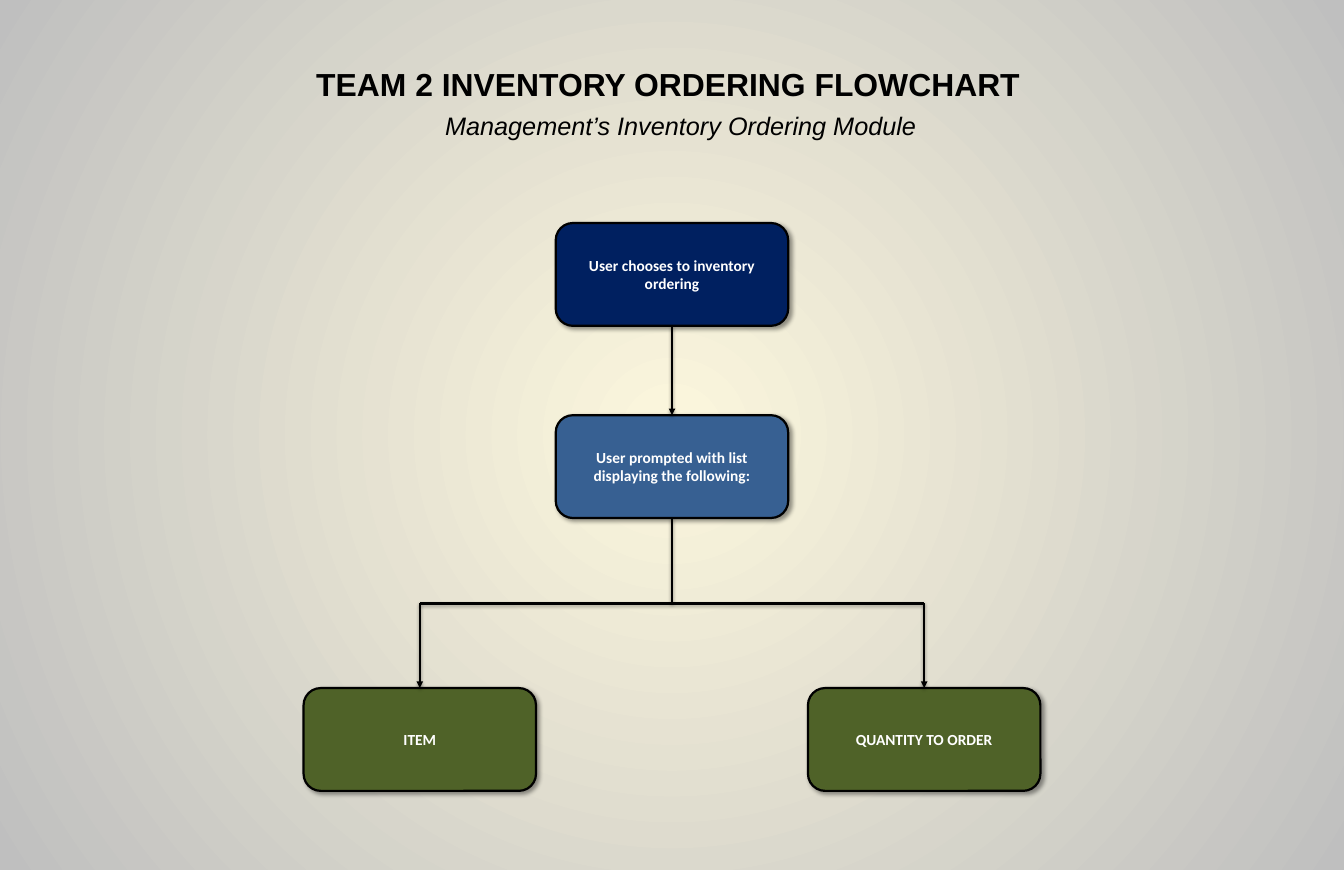
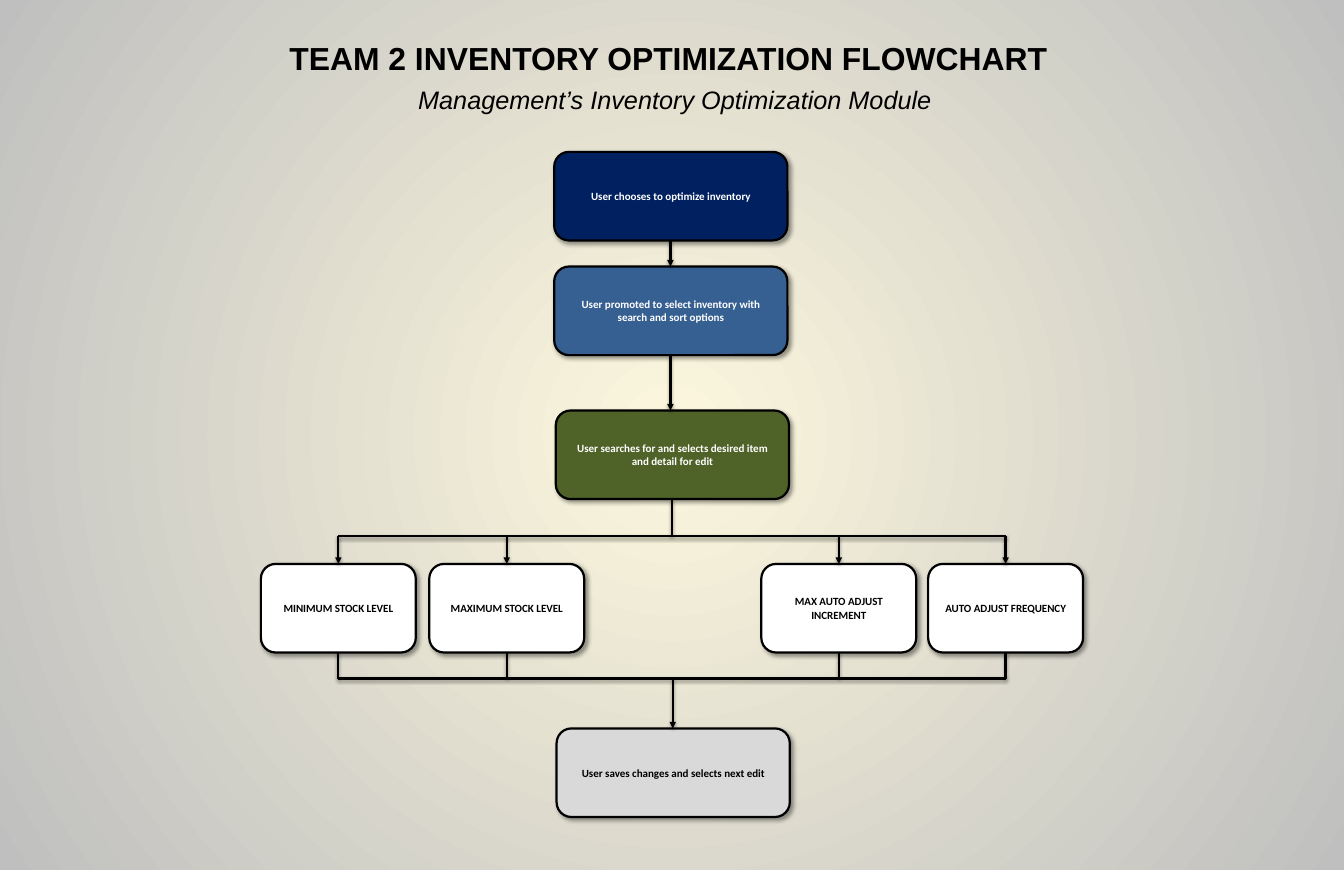
"""Build the two inventory flowchart slides."""
from pptx import Presentation
from pptx.dml.color import RGBColor
from pptx.enum.shapes import MSO_CONNECTOR, MSO_SHAPE
from pptx.enum.text import MSO_ANCHOR, MSO_AUTO_SIZE, PP_ALIGN
from pptx.oxml import parse_xml
from pptx.oxml.ns import nsdecls, qn
from pptx.util import Pt

EMU_PER_PX = 9144
PAGE_WIDTH, PAGE_HEIGHT = 1700, 1100
STRAIGHT = MSO_CONNECTOR.STRAIGHT
ROUNDED = MSO_SHAPE.ROUNDED_RECTANGLE
MIDDLE = MSO_ANCHOR.MIDDLE
GROW = MSO_AUTO_SIZE.SHAPE_TO_FIT_TEXT
CENTER = PP_ALIGN.CENTER

BLACK = RGBColor(0x00, 0x00, 0x00)
WHITE = RGBColor(0xFF, 0xFF, 0xFF)
NAVY = RGBColor(0x00, 0x20, 0x60)
BLUE = RGBColor(0x37, 0x60, 0x92)
GREEN = RGBColor(0x4F, 0x62, 0x28)
GRAY = RGBColor(0xD9, 0xD9, 0xD9)
CREAM = RGBColor(0xFC, 0xF7, 0xDD)
SILVER = RGBColor(0xBF, 0xBF, 0xBF)

TITLE_FONT = {"name": "Arial", "size": Pt(29), "bold": True}
SUBTITLE_FONT = {"name": "Arial", "size": Pt(23), "italic": True}
BOX_FONT = {"name": "Calibri", "bold": True}
BOX_SHADOW = {"opacity": 40, "blur": 4, "distance": 3, "angle": 45}
LINE_SHADOW = {"opacity": 38, "blur": 3.1, "distance": 1.6, "angle": 90}


def px(length):
    """Turn px into EMU."""
    return length * EMU_PER_PX


def apply(target, values):
    """Set each attribute named in values on target."""
    for name, value in values.items():
        setattr(target, name, value)


def set_margins(frame, side, end):
    """Set the side margins and the top and bottom margins of a text frame."""
    apply(frame, {"margin_left": px(side), "margin_right": px(side),
                  "margin_top": px(end), "margin_bottom": px(end)})


def write(frame, text, font, color):
    """Write one formatted run and return its paragraph."""
    para = frame.paragraphs[0]
    span = para.add_run()
    span.text = text
    apply(span.font, font)
    span.font.color.rgb = color
    return para


def add_shadow(shape, opacity, blur, distance, angle):
    """Give a shape or connector a black outer shadow."""
    shape.element.spPr.append(parse_xml(
        f'<a:effectLst {nsdecls("a")}><a:outerShdw blurRad="{Pt(blur)}" '
        f'dist="{Pt(distance)}" dir="{angle * 60000}" algn="tl" '
        f'rotWithShape="0"><a:srgbClr val="{BLACK}"><a:alpha '
        f'val="{opacity * 1000}"/></a:srgbClr></a:outerShdw></a:effectLst>'))


def set_outline(shape):
    """Draw the black outline that boxes and lines share."""
    shape.line.color.rgb = BLACK
    shape.line.width = Pt(2)


def set_background(master):
    """Paint a radial gradient behind every page."""
    fill = master.background.fill
    fill.gradient()
    for stop, color in zip(fill.gradient_stops, (CREAM, SILVER)):
        stop.color.rgb = color
    gradient = next(master.element.iter(qn("a:gradFill")))
    gradient.remove(gradient.find(qn("a:lin")))
    gradient.append(parse_xml(
        f'<a:path {nsdecls("a")} path="circle"><a:fillToRect l="50000" '
        't="50000" r="50000" b="50000"/></a:path>'))


def add_label(page, left, top, width, height, text, font):
    """Add an unwrapped line of text."""
    label = page.shapes.add_textbox(px(left), px(top), px(width), px(height))
    frame = label.text_frame
    apply(frame, {"word_wrap": False, "auto_size": GROW})
    set_margins(frame, 11, 6)
    write(frame, text, font, BLACK)


def add_heading(page, left, top, title, title_width, subtitle, subtitle_width):
    """Add the title with its subtitle below."""
    add_label(page, left, top, title_width, 60, title, TITLE_FONT)
    add_label(page, left + 163, top + 57, subtitle_width, 50, subtitle,
              SUBTITLE_FONT)


def add_box(page, left, top, width, height, text, size, fill, color=WHITE):
    """Add a rounded flowchart step."""
    box = page.shapes.add_shape(ROUNDED, px(left), px(top), px(width),
                                px(height))
    box.fill.solid()
    box.fill.fore_color.rgb = fill
    set_outline(box)
    add_shadow(box, **BOX_SHADOW)
    frame = box.text_frame
    apply(frame, {"word_wrap": True, "vertical_anchor": MIDDLE})
    set_margins(frame, 16, 8)
    font = {**BOX_FONT, "size": Pt(size)}
    write(frame, text, font, color).alignment = CENTER


def add_line(page, x1, y1, x2, y2, arrow=False):
    """Add a straight connector, with an arrowhead at its end if asked."""
    line = page.shapes.add_connector(STRAIGHT, px(x1), px(y1), px(x2), px(y2))
    set_outline(line)
    if arrow:
        line.element.spPr.find(qn("a:ln")).append(
            parse_xml(f'<a:tailEnd {nsdecls("a")} type="triangle"/>'))
    add_shadow(line, **LINE_SHADOW)


def add_rail(page, centers, rail, edge, arrow=False):
    """Add a horizontal rail and a stem from it to the edge of each box."""
    add_line(page, centers[0], rail, centers[-1], rail)
    for center in centers:
        add_line(page, center, rail, center, edge, arrow)


def build_ordering(page):
    """Draw the inventory ordering flowchart."""
    width, height, rail = 294, 130, 763
    add_heading(page, 389, 76, "TEAM 2 INVENTORY ORDERING FLOWCHART", 922,
                "Management’s Inventory Ordering Module", 623)
    steps = (
        (703, 282, "User chooses to inventory ordering", NAVY),
        (703, 525, "User prompted with list displaying the following:", BLUE),
        (1022, 870, "QUANTITY TO ORDER", GREEN),
        (384, 870, "ITEM", GREEN),
    )
    for left, top, text, fill in steps:
        add_box(page, left, top, width, height, text, 14, fill)
    add_line(page, 850, 282 + height, 850, 525, True)
    add_line(page, 850, 525 + height, 850, rail)
    add_rail(page, (531, 1169), rail, 870, True)


def build_optimization(page):
    """Draw the inventory optimization flowchart."""
    width, field_width, height, size = 295, 196, 112, 10
    field_top, upper_rail, lower_rail = 713, 678, 858
    add_heading(page, 355, 43, "TEAM 2 INVENTORY OPTIMIZATION FLOWCHART", 991,
                "Management’s Inventory Optimization Module", 677)
    steps = (
        (701, 192, "User chooses to optimize inventory", NAVY, WHITE),
        (701, 337, "User promoted to select inventory with search and sort "
                   "options", BLUE, WHITE),
        (703, 519, "User searches for and selects desired item and detail "
                   "for edit", GREEN, WHITE),
        (704, 921, "User saves changes and selects next edit", GRAY, BLACK),
    )
    for left, top, text, fill, color in steps:
        add_box(page, left, top, width, height, text, size, fill, color)
    fields = {428: "MINIMUM STOCK LEVEL", 641: "MAXIMUM STOCK LEVEL",
              1061: "MAX AUTO ADJUST INCREMENT", 1272: "AUTO ADJUST FREQUENCY"}
    for center, text in fields.items():
        add_box(page, center - field_width // 2, field_top, field_width,
                height, text, size, WHITE, BLACK)
    centers = list(fields)
    add_line(page, 848, 192 + height, 848, 337, True)
    add_line(page, 848, 337 + height, 848, 519, True)
    add_line(page, 850, 519 + height, 850, upper_rail)
    add_rail(page, centers, upper_rail, field_top, True)
    add_rail(page, centers, lower_rail, field_top + height)
    add_line(page, 851, lower_rail, 851, 921, True)


def main():
    """Build and save the deck."""
    deck = Presentation()
    apply(deck, {"slide_width": px(PAGE_WIDTH),
                 "slide_height": px(PAGE_HEIGHT)})
    set_background(deck.slide_master)
    for build in (build_ordering, build_optimization):
        build(deck.slides.add_slide(deck.slide_layouts[6]))
    deck.save("out.pptx")


if __name__ == "__main__":
    main()
